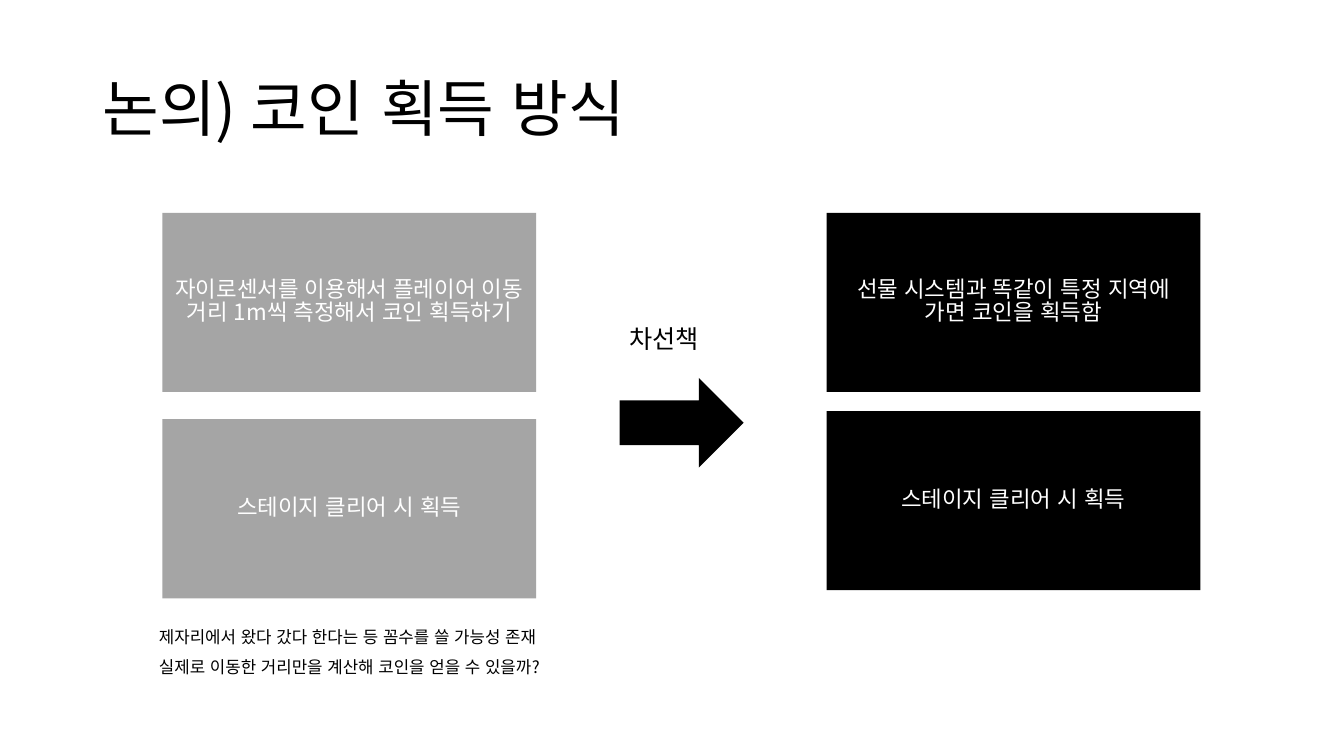
from dataclasses import dataclass

from lxml.etree import SubElement
from pptx import Presentation
from pptx.dml.color import RGBColor
from pptx.enum.lang import MSO_LANGUAGE_ID as Language
from pptx.enum.shapes import MSO_SHAPE as Preset
from pptx.enum.text import MSO_ANCHOR as Anchor, MSO_AUTO_SIZE as AutoSize, PP_ALIGN as Align
from pptx.oxml.ns import qn
from pptx.slide import Slide
from pptx.text.text import TextFrame
from pptx.util import Pt

FONT = "Noto Sans CJK KR"
COLOURS = {"ink": "000000", "grey": "A5A5A5", "paper": "FFFFFF"}
LEFT_COLUMN, RIGHT_COLUMN, TOP_ROW = 116, 590.4, 152
CARD_WIDTH, CARD_HEIGHT = 267, 128
LINE_SPACING = 0.83


@dataclass
class Card:
    text: str
    left: float
    top: float
    fill: str


@dataclass
class Label:
    text: str
    left: float
    top: float
    width: float
    height: float
    size: float


CARDS = [
    Card("자이로센서를 이용해서 플레이어 이동 거리 1m씩 측정해서 코인 획득하기", LEFT_COLUMN, TOP_ROW, "grey"),
    Card("선물 시스템과 똑같이 특정 지역에 가면 코인을 획득함", RIGHT_COLUMN, TOP_ROW, "ink"),
    Card("스테이지 클리어 시 획득", LEFT_COLUMN, 299.4, "grey"),
    Card("스테이지 클리어 시 획득", RIGHT_COLUMN, 293.6, "ink"),
]
LABELS = [
    Label("차선책", 442.6, 231, 77, 29, 18),
    Label("제자리에서 왔다 갔다 한다는 등 꼼수를 쓸 가능성 존재", 106.4, 446.4, 317.5, 21.8, 12),
    Label("실제로 이동한 거리만을 계산해 코인을 얻을 수 있을까?", 106.4, 468.2, 317.5, 21.8, 12),
]


def write(frame: TextFrame, text: str, size: float, colour: str, align: Align, anchor: Anchor) -> None:
    frame_format = {"word_wrap": True, "auto_size": AutoSize.NONE, "vertical_anchor": anchor}
    for name, value in frame_format.items():
        setattr(frame, name, value)
    para = frame.paragraphs[0]
    para.alignment = align
    para.line_spacing = LINE_SPACING
    span = para.add_run()
    span.text = text
    span_format = {"name": FONT, "size": Pt(size), "language_id": Language.KOREAN}
    for name, value in span_format.items():
        setattr(span.font, name, value)
    span.font.color.rgb = RGBColor.from_string(COLOURS[colour])
    SubElement(span.font._element, qn("a:ea"), typeface=FONT)


def add_solid(page: Slide, preset: Preset, left: float, top: float, width: float, height: float, fill: str):
    solid = page.shapes.add_shape(preset, Pt(left), Pt(top), Pt(width), Pt(height))
    solid.shadow.inherit = False
    solid.fill.solid()
    solid.fill.fore_color.rgb = RGBColor.from_string(COLOURS[fill])
    solid.line.fill.background()
    return solid


def add_card(page: Slide, card: Card) -> None:
    box = add_solid(page, Preset.RECTANGLE, card.left, card.top, CARD_WIDTH, CARD_HEIGHT, card.fill)
    write(box.text_frame, card.text, 16, "paper", Align.CENTER, Anchor.MIDDLE)


def add_label(page: Slide, label: Label) -> None:
    box = page.shapes.add_textbox(Pt(label.left), Pt(label.top), Pt(label.width), Pt(label.height))
    write(box.text_frame, label.text, label.size, "ink", Align.LEFT, Anchor.TOP)


def add_title(page: Slide, text: str) -> None:
    title = page.shapes.title
    place = {"left": 66, "top": 28.8, "width": 828, "height": 104.4}
    for name, value in place.items():
        setattr(title, name, Pt(value))
    write(title.text_frame, text, 44, "ink", Align.LEFT, Anchor.MIDDLE)


def main() -> None:
    deck = Presentation()
    deck.slide_width, deck.slide_height = Pt(960), Pt(540)
    page = deck.slides.add_slide(deck.slide_layouts.get_by_name("Title Only"))
    add_title(page, "논의) 코인 획득 방식")
    for card in CARDS:
        add_card(page, card)
    add_solid(page, Preset.RIGHT_ARROW, 442.6, 270, 88.6, 64, "ink")
    for label in LABELS:
        add_label(page, label)
    deck.save("out.pptx")


if __name__ == "__main__":
    main()
